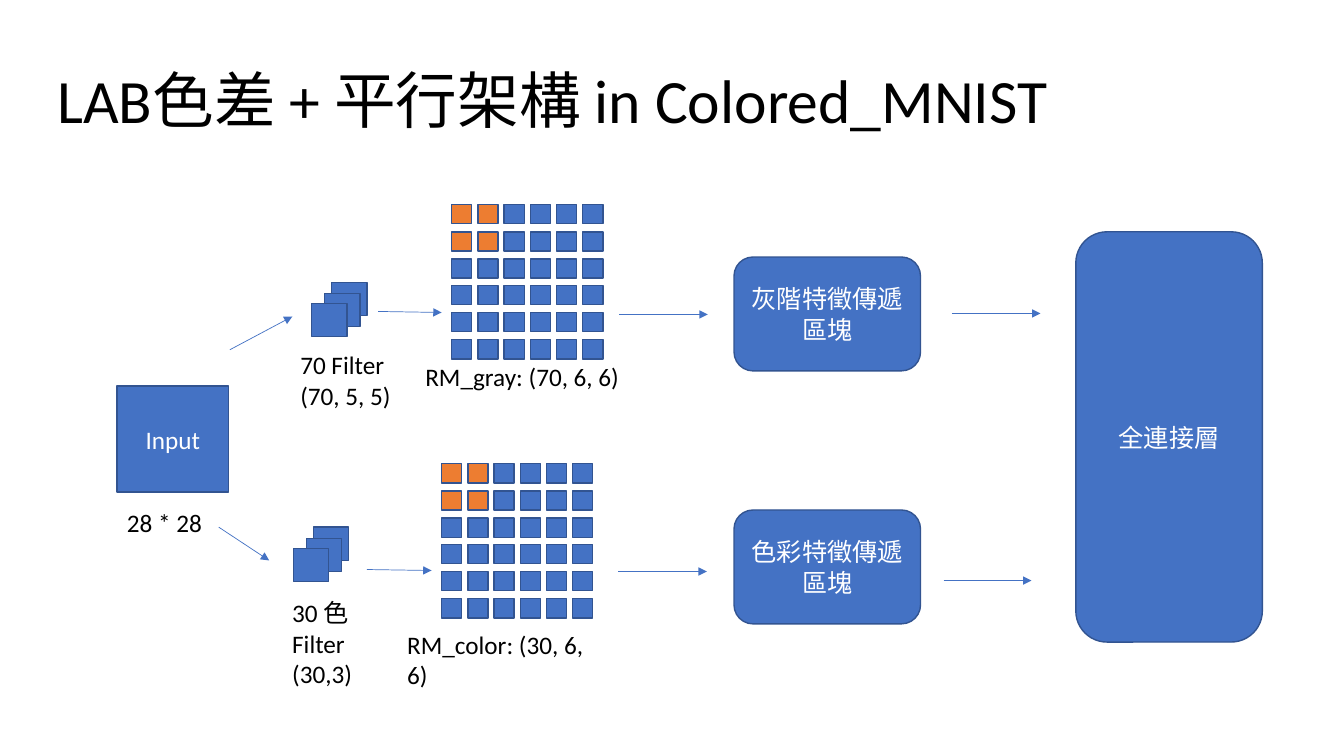
from lxml import etree
from pptx import Presentation
from pptx.dml.color import RGBColor
from pptx.enum.shapes import MSO_CONNECTOR as CONN, MSO_SHAPE as SHAPE
from pptx.enum.text import MSO_ANCHOR as ANCHOR, PP_ALIGN as ALIGN
from pptx.oxml.ns import qn
from pptx.util import Pt

PX = 9144


def rgb(value):
    return RGBColor.from_string(value)


class Deck:
    font = "Calibri"
    blue = "4472C4"
    orange = "ED7D31"
    outline = "325491"
    black = "000000"
    white = "FFFFFF"

    def __init__(self, width, height):
        self.prs = Presentation()
        self.prs.slide_width = width * PX
        self.prs.slide_height = height * PX
        self.s = self.prs.slides.add_slide(self.prs.slide_layouts[6])

    def add_runs(self, tf, paragraphs, size, color, align=ALIGN.LEFT):
        tf.word_wrap = True
        for i, lines in enumerate(paragraphs):
            p = tf.add_paragraph() if i else tf.paragraphs[0]
            p.alignment = align
            for j, line in enumerate(lines.split("\n")):
                if j:
                    p.add_line_break()
                r = p.add_run()
                r.text = line
                r.font.name = self.font
                r.font.size = Pt(size)
                r.font.color.rgb = rgb(color)

    def text(self, box, *paragraphs, size=18):
        tf = self.s.shapes.add_textbox(*(v * PX for v in box)).text_frame
        self.add_runs(tf, paragraphs, size, self.black)
        return tf

    def title(self, box, text):
        tf = self.text(box, text, size=44)
        tf.vertical_anchor = ANCHOR.MIDDLE
        tf.paragraphs[0].line_spacing = 0.9

    def block(self, box, text=None, kind=SHAPE.RECTANGLE, fill=blue):
        sp = self.s.shapes.add_shape(kind, *(v * PX for v in box))
        sp.shadow.inherit = False
        sp.fill.solid()
        sp.fill.fore_color.rgb = rgb(fill)
        sp.line.color.rgb = rgb(self.outline)
        sp.line.width = Pt(1)
        if text:
            sp.text_frame.vertical_anchor = ANCHOR.MIDDLE
            self.add_runs(sp.text_frame, [text], 18, self.white, ALIGN.CENTER)

    def filters(self, left, top):
        for dx, dy in ((20, 0), (13, 11), (0, 21)):
            self.block((left + dx, top + dy, 35, 33))

    def feature_map(self, left, top, count=6, window=2):
        for row in range(count):
            for col in range(count):
                fill = self.orange if max(row, col) < window else self.blue
                box = (left + 26 * col, top + round(26.8 * row), 20, 19)
                self.block(box, fill=fill)

    def arrow(self, x1, y1, x2, y2):
        ends = (v * PX for v in (x1, y1, x2, y2))
        c = self.s.shapes.add_connector(CONN.STRAIGHT, *ends)
        c.line.color.rgb = rgb(self.blue)
        c.line.width = Pt(0.5)
        props = c.element.spPr
        etree.SubElement(props.find(qn("a:ln")), qn("a:tailEnd"), type="triangle")
        etree.SubElement(props, qn("a:effectLst"))


def main():
    d = Deck(1333, 750)
    d.title((47, 30, 1150, 145), "LAB色差 + 平行架構 in Colored_MNIST")

    d.block((116, 383, 111, 105), "Input")
    d.text((116, 498, 96, 40), "28 * 28")

    d.filters(309, 280)
    d.text((288, 342, 111, 71), "70 Filter", "(70, 5, 5)")
    d.feature_map(448, 203)
    d.text((412, 354, 218, 40), "RM_gray: (70, 6, 6)")

    d.filters(291, 523)
    d.text((280, 588, 84, 131), "30 色 Filter\n(30,3)")
    d.feature_map(438, 460)
    d.text((394, 619, 218, 40), "RM_color: (30, 6, 6)")

    for box, label in (
        ((728, 255, 185, 113), "灰階特徵傳遞區塊"),
        ((728, 506, 185, 113), "色彩特徵傳遞區塊"),
        ((1067, 230, 185, 407), "全連接層"),
    ):
        d.block(box, label, SHAPE.ROUNDED_RECTANGLE)

    for ends in (
        (228, 347, 290, 314),
        (375, 309, 438, 310),
        (614, 312, 702, 312),
        (944, 311, 1032, 311),
        (217, 523, 267, 556),
        (364, 565, 428, 566),
        (613, 567, 701, 567),
        (936, 576, 1023, 576),
    ):
        d.arrow(*ends)

    d.prs.save("out.pptx")


if __name__ == "__main__":
    main()
